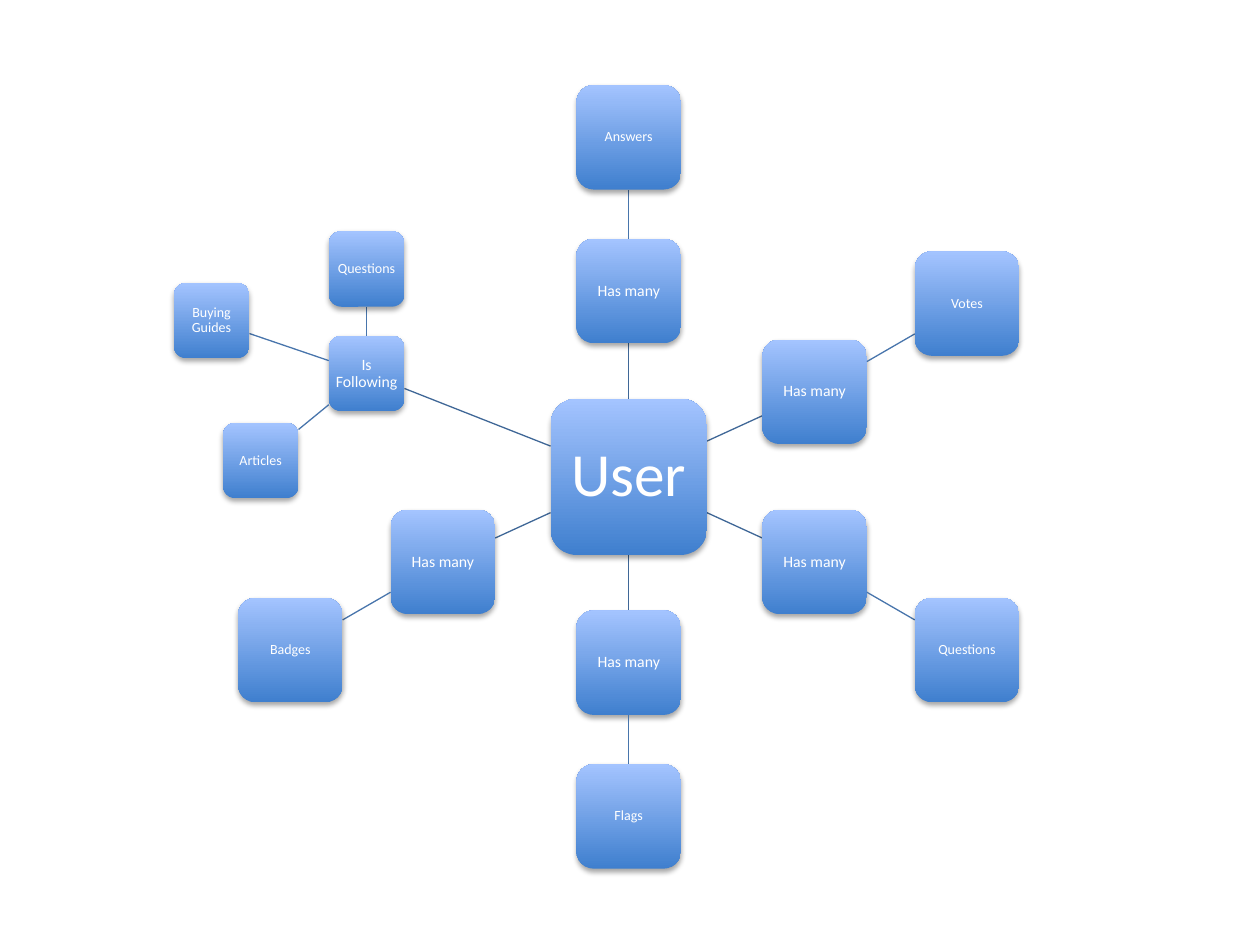
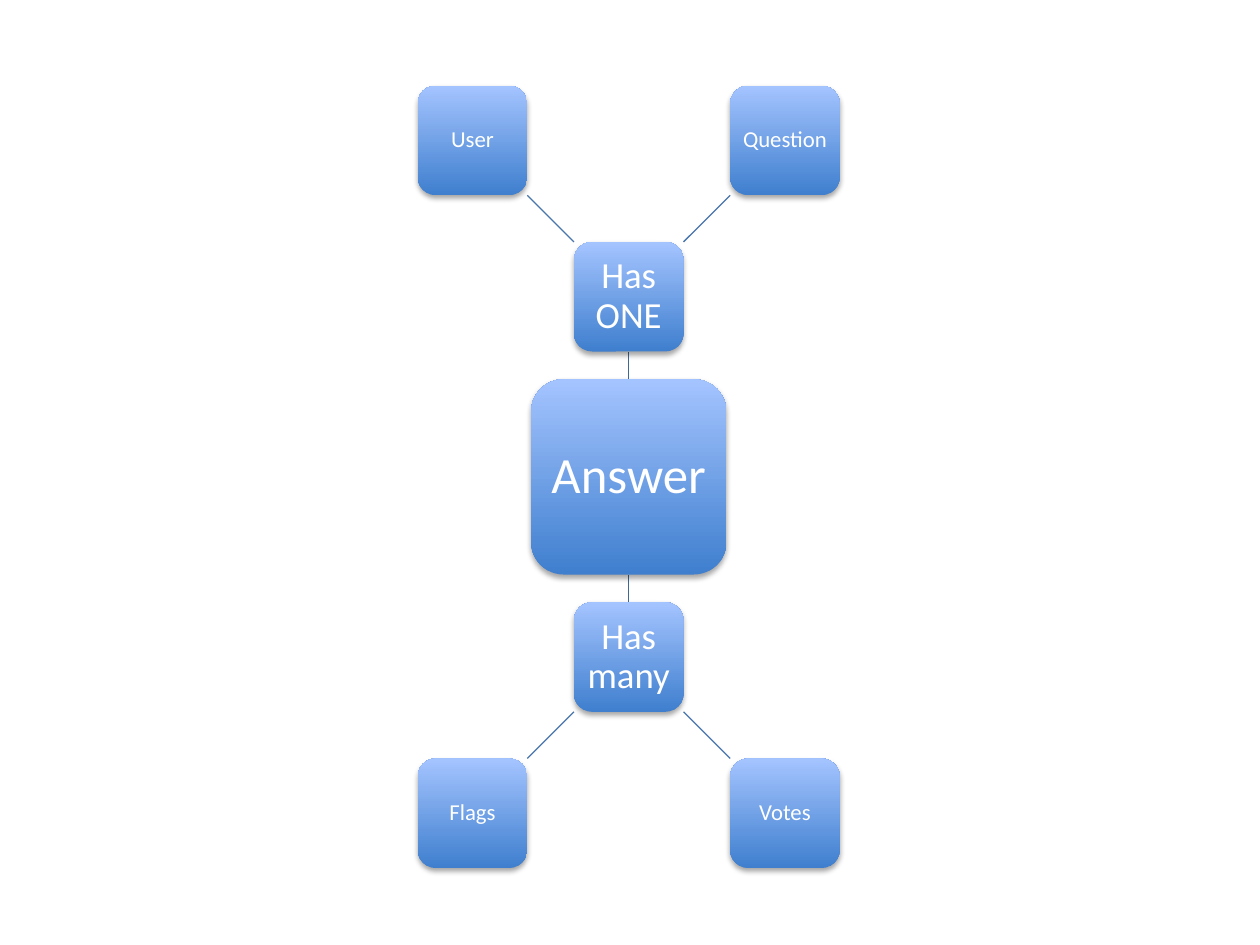
import pptx
import pptx.dml.color
import pptx.enum.shapes
import pptx.enum.text
import pptx.oxml
import pptx.oxml.ns
import pptx.util
from pptx.util import Inches, Pt

COLORS = {
    "box_bottom": "3F7FCE",
    "box_top": "A4C4FF",
    "text": "FFFFFF",
    "inner_link": "3F6797",
    "outer_link": "4875AC",
    "shadow": "000000",
}
FONT = "Calibri"
CENTER = (4.99, 3.785)

# Each branch: hub label, offset from the center, box size, leaves offset from the hub
MAPS = [
    {
        "root": ("User", 1.24, 35),
        "hub_pt": 9,
        "leaf_pt": 8,
        "branches": [
            ("Has many", (0, -1.475), 0.83, [("Answers", (0, -1.22))]),
            ("Has many", (1.475, -0.675), 0.83, [("Votes", (1.21, -0.7))]),
            ("Has many", (1.475, 0.675), 0.83, [("Questions", (1.21, 0.7))]),
            ("Has many", (0, 1.475), 0.83, [("Flags", (0, 1.22))]),
            ("Has many", (-1.475, 0.675), 0.83, [("Badges", (-1.21, 0.7))]),
            ("Is Following", (-2.08, -0.82), 0.6, [
                ("Questions", (0, -0.83)),
                ("Articles", (-0.84, 0.69)),
                ("Buying Guides", (-1.23, -0.42)),
            ]),
        ],
    },
    {
        "root": ("Answer", 1.55, 29),
        "hub_pt": 21,
        "leaf_pt": 13,
        "branches": [
            ("Has ONE", (0, -1.43), 0.87, [("User", (-1.24, -1.24)), ("Question", (1.24, -1.24))]),
            ("Has many", (0, 1.43), 0.87, [("Votes", (1.24, 1.24)), ("Flags", (-1.24, 1.24))]),
        ],
    },
]


def rgb(name):
    return pptx.dml.color.RGBColor.from_string(COLORS[name])


def shift(point, offset):
    return point[0] + offset[0], point[1] + offset[1]


def edge_point(center, size, offset):
    scale = size / 2 / max(abs(offset[0]), abs(offset[1]))
    return shift(center, (offset[0] * scale, offset[1] * scale))


def add_link(slide, start, start_size, offset, end_size, color):
    begin = edge_point(start, start_size, offset)
    end = edge_point(shift(start, offset), end_size, (-offset[0], -offset[1]))
    link = slide.shapes.add_connector(
        pptx.enum.shapes.MSO_CONNECTOR.STRAIGHT, *map(Inches, begin + end))
    link.line.color.rgb = rgb(color)
    link.line.width = Pt(0.75)
    pptx.oxml.ns.qn("a:effectLst")
    link._element.spPr.append(pptx.oxml.parse_xml(
        f'<a:effectLst {pptx.oxml.ns.nsdecls("a")}/>'))


def add_box(slide, label, center, size, points):
    box = slide.shapes.add_shape(
        pptx.enum.shapes.MSO_SHAPE.ROUNDED_RECTANGLE,
        Inches(center[0] - size / 2), Inches(center[1] - size / 2), Inches(size), Inches(size))
    box.fill.gradient()
    box.fill.gradient_angle = 90
    for stop, color in zip(box.fill.gradient_stops, ("box_bottom", "box_top")):
        stop.color.rgb = rgb(color)
    box.line.fill.background()
    box.shadow.inherit = False
    box._element.spPr.find(pptx.oxml.ns.qn("a:effectLst")).append(pptx.oxml.parse_xml(
        f'<a:outerShdw {pptx.oxml.ns.nsdecls("a")} blurRad="{Pt(3.1)}" dist="{Pt(1.8)}" '
        f'dir="5400000" rotWithShape="0"><a:srgbClr val="{COLORS["shadow"]}">'
        '<a:alpha val="35000"/></a:srgbClr></a:outerShdw>'))

    frame = box.text_frame
    frame.text = label
    frame.word_wrap = True
    frame.vertical_anchor = pptx.enum.text.MSO_ANCHOR.MIDDLE
    frame.margin_left = frame.margin_right = Pt(points * 0.2)
    frame.margin_top = frame.margin_bottom = Pt(points * 0.2)
    paragraph = frame.paragraphs[0]
    paragraph.alignment = pptx.enum.text.PP_ALIGN.CENTER
    paragraph.line_spacing = 0.9
    font = paragraph.runs[0].font
    font.name = FONT
    font.size = Pt(points)
    font.color.rgb = rgb("text")


def draw_map(slide, content):
    root, root_size, root_pt = content["root"]
    for _, offset, size, _ in content["branches"]:
        add_link(slide, CENTER, root_size, offset, size, "inner_link")
    add_box(slide, root, CENTER, root_size, root_pt)
    for hub, offset, size, leaves in content["branches"]:
        hub_center = shift(CENTER, offset)
        add_box(slide, hub, hub_center, size, content["hub_pt"])
        for leaf, leaf_offset in leaves:
            add_link(slide, hub_center, size, leaf_offset, size, "outer_link")
            add_box(slide, leaf, shift(hub_center, leaf_offset), size, content["leaf_pt"])


deck = pptx.Presentation()
deck.slide_width, deck.slide_height = Inches(10), Inches(7.5)
for content in MAPS:
    draw_map(deck.slides.add_slide(deck.slide_layouts[6]), content)
deck.save("out.pptx")
